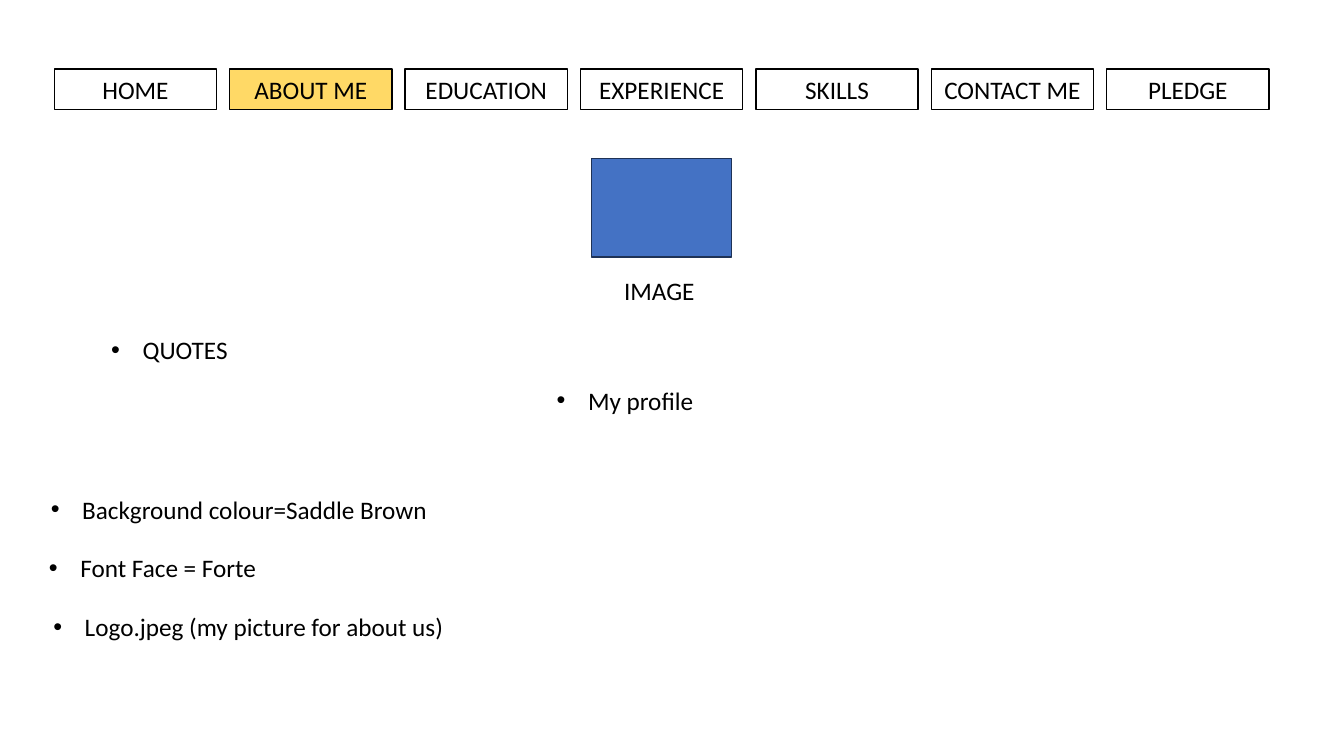
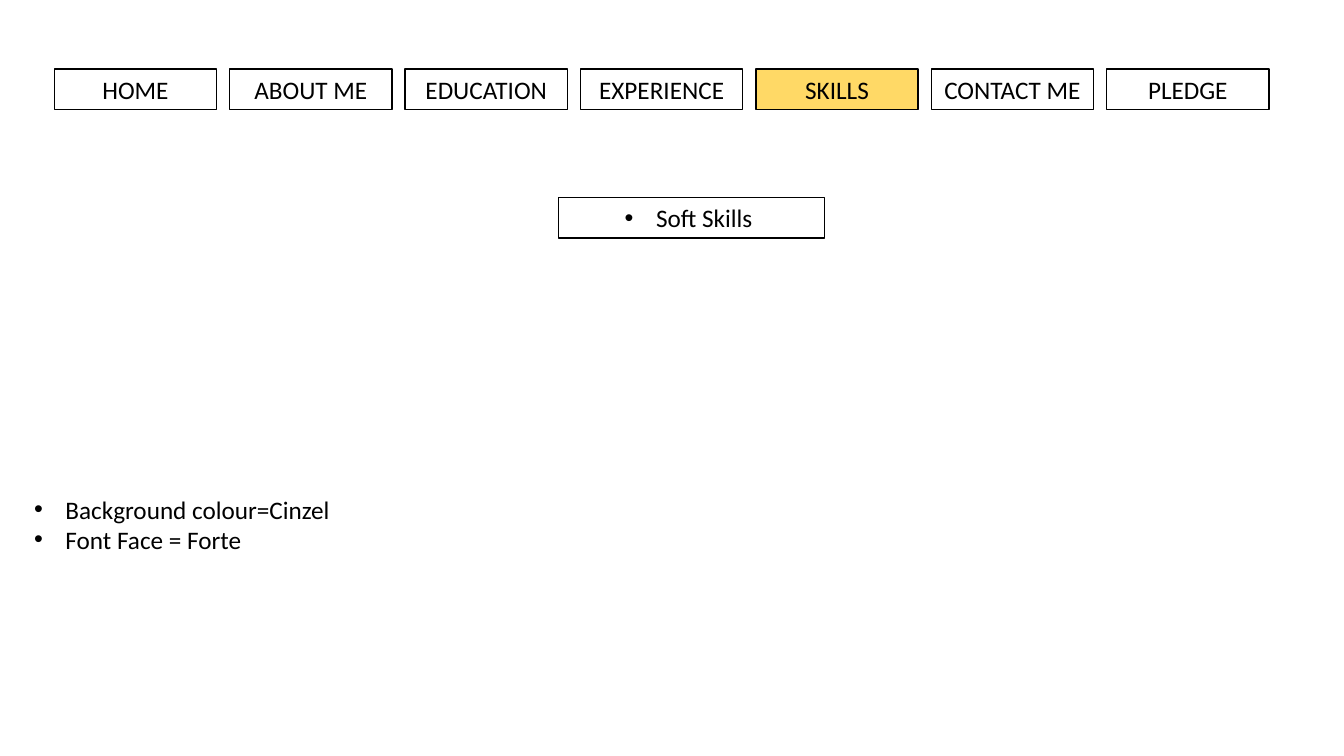
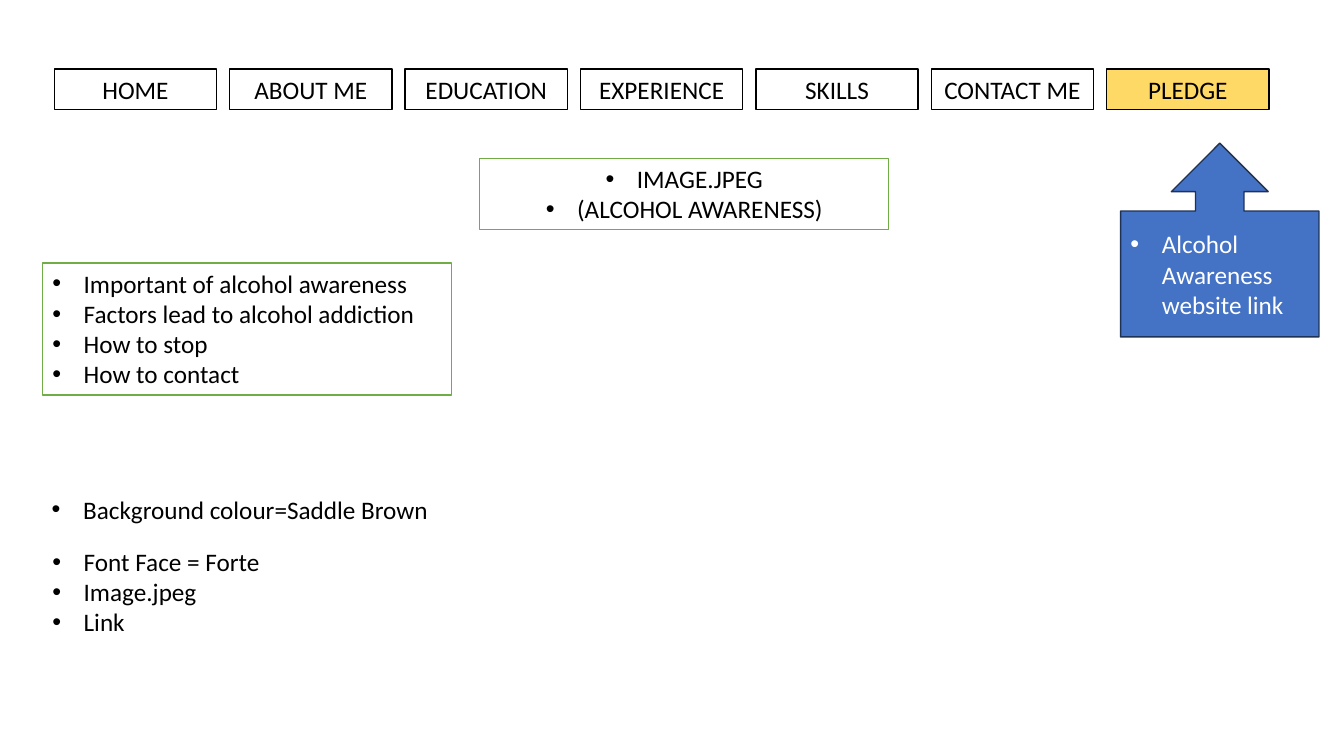
"""Build three wireframe slides of a personal website with a shared navigation bar."""
from dataclasses import dataclass
from typing import Optional

from lxml import etree
from pptx import Presentation
from pptx.dml.color import RGBColor
from pptx.enum.shapes import MSO_SHAPE
from pptx.enum.text import MSO_ANCHOR, PP_ALIGN
from pptx.oxml.ns import qn
from pptx.util import Cm, Pt

RECTANGLE = MSO_SHAPE.RECTANGLE
CALLOUT = MSO_SHAPE.UP_ARROW_CALLOUT
CENTER = PP_ALIGN.CENTER
LEFT = PP_ALIGN.LEFT
TOP = MSO_ANCHOR.TOP
MIDDLE = MSO_ANCHOR.MIDDLE

BLACK = RGBColor(0x00, 0x00, 0x00)
WHITE = RGBColor(0xFF, 0xFF, 0xFF)
GOLD = RGBColor(0xFF, 0xD9, 0x66)
BLUE = RGBColor(0x44, 0x72, 0xC4)
NAVY = RGBColor(0x1E, 0x32, 0x56)
GREEN = RGBColor(0x70, 0xAD, 0x47)

FONT = "Calibri"
FONT_SIZE = Pt(18)
LINE_WIDTH = Pt(1)
BULLET_INDENT = Cm(0.79)
ROW_HEIGHT = 1.02

TABS = ("HOME", "ABOUT ME", "EDUCATION", "EXPERIENCE", "SKILLS", "CONTACT ME", "PLEDGE")
TAB_LEFT, TAB_TOP, TAB_WIDTH, TAB_PITCH = 1.37, 1.74, 4.09, 4.42


@dataclass(frozen=True)
class Box:
    """A block of text in centimetres, plain unless it has a fill."""

    left: float
    top: float
    width: float
    height: float = ROW_HEIGHT
    text: str = ""
    bullets: bool = True
    align: PP_ALIGN = CENTER
    anchor: MSO_ANCHOR = TOP
    color: RGBColor = BLACK
    fill: Optional[RGBColor] = None
    line: RGBColor = BLACK
    kind: MSO_SHAPE = RECTANGLE


@dataclass(frozen=True)
class Page:
    """The highlighted tab of a page and the boxes below it."""

    tab: str
    boxes: tuple[Box, ...]


PAGES = (
    Page("ABOUT ME", (
        Box(14.91, 3.99, 3.53, 2.49, fill=BLUE, line=NAVY),
        Box(13.21, 6.81, 6.96, text="IMAGE ", bullets=False),
        Box(0.79, 8.31, 6.96, text="QUOTES"),
        Box(12.27, 9.58, 6.96, text="My profile"),
        Box(0, 12.32, 12.04, text="Background colour=Saddle Brown"),
        Box(-1.52, 13.8, 10.87, text="Font Face = Forte "),
        Box(-0.38, 15.29, 13.28, text="Logo.jpeg (my picture for about us)"),
    )),
    Page("SKILLS", (
        Box(14.07, 4.98, 6.71, text="Soft Skills ", fill=WHITE),
        Box(0.61, 12.32, 10.87, 1.8,
            "Background colour=Cinzel\nFont Face = Forte", align=LEFT),
    )),
    Page("PLEDGE", (
        Box(12.09, 3.99, 10.31, 1.8, "IMAGE.JPEG\n(ALCOHOL AWARENESS)",
            fill=WHITE, line=GREEN),
        Box(0.61, 12.32, 10.87, text="Background colour=Saddle Brown"),
        Box(1.07, 13.64, 10.87, 3.33, "Font Face = Forte\nImage.jpeg\nLink ", align=LEFT),
        Box(28.24, 3.61, 5, 4.88, "Alcohol Awareness website link", align=LEFT,
            anchor=MIDDLE, color=WHITE, fill=BLUE, line=NAVY, kind=CALLOUT),
        Box(1.07, 6.63, 10.31, 3.33,
            "Important of alcohol awareness\nFactors lead to alcohol addiction\n"
            "How to stop \nHow to contact", align=LEFT, fill=WHITE, line=GREEN),
    )),
)


def add_bullet(paragraph) -> None:
    """Give the paragraph a round bullet with a hanging indent."""
    properties = paragraph._p.get_or_add_pPr()
    properties.set("marL", str(BULLET_INDENT))
    properties.set("indent", str(-BULLET_INDENT))
    etree.SubElement(properties, qn("a:buFont")).set("typeface", "Arial")
    etree.SubElement(properties, qn("a:buChar")).set("char", "•")


def write_text(text_frame, box: Box) -> None:
    """Fill the text frame and format its paragraphs."""
    text_frame.word_wrap = True
    text_frame.vertical_anchor = box.anchor
    text_frame.text = box.text
    for paragraph in text_frame.paragraphs:
        paragraph.alignment = box.align
        if box.bullets:
            add_bullet(paragraph)
        for run in paragraph.runs:
            run.font.name = FONT
            run.font.size = FONT_SIZE
            run.font.color.rgb = box.color


def draw_box(slide, box: Box) -> None:
    """Draw the box as a filled shape or as a plain text box."""
    frame = Cm(box.left), Cm(box.top), Cm(box.width), Cm(box.height)
    if box.fill is None:
        shape = slide.shapes.add_textbox(*frame)
    else:
        shape = slide.shapes.add_shape(box.kind, *frame)
        shape.shadow.inherit = False
        shape.fill.solid()
        shape.fill.fore_color.rgb = box.fill
        shape.line.color.rgb = box.line
        shape.line.width = LINE_WIDTH
    if box.text:
        write_text(shape.text_frame, box)


def draw_navigation(slide, active_tab: str) -> None:
    """Draw the row of tabs with the active one highlighted."""
    for index, label in enumerate(TABS):
        draw_box(slide, Box(
            TAB_LEFT + index * TAB_PITCH, TAB_TOP, TAB_WIDTH, text=label,
            bullets=False, fill=GOLD if label == active_tab else WHITE))


def main() -> None:
    """Build and save the presentation."""
    presentation = Presentation()
    presentation.slide_width = Cm(33.87)
    presentation.slide_height = Cm(19.05)
    blank_layout = presentation.slide_layouts[6]
    for page in PAGES:
        slide = presentation.slides.add_slide(blank_layout)
        draw_navigation(slide, page.tab)
        for box in page.boxes:
            draw_box(slide, box)
    presentation.save("out.pptx")


main()
